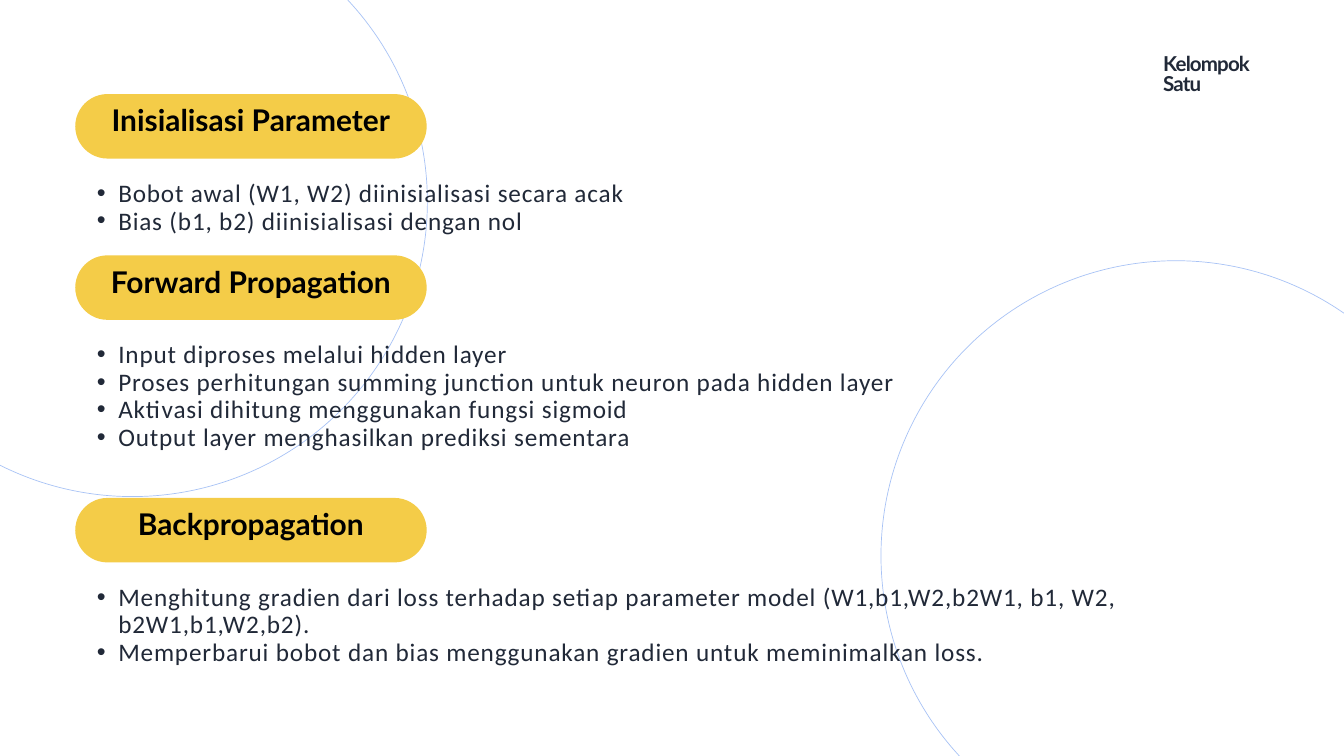
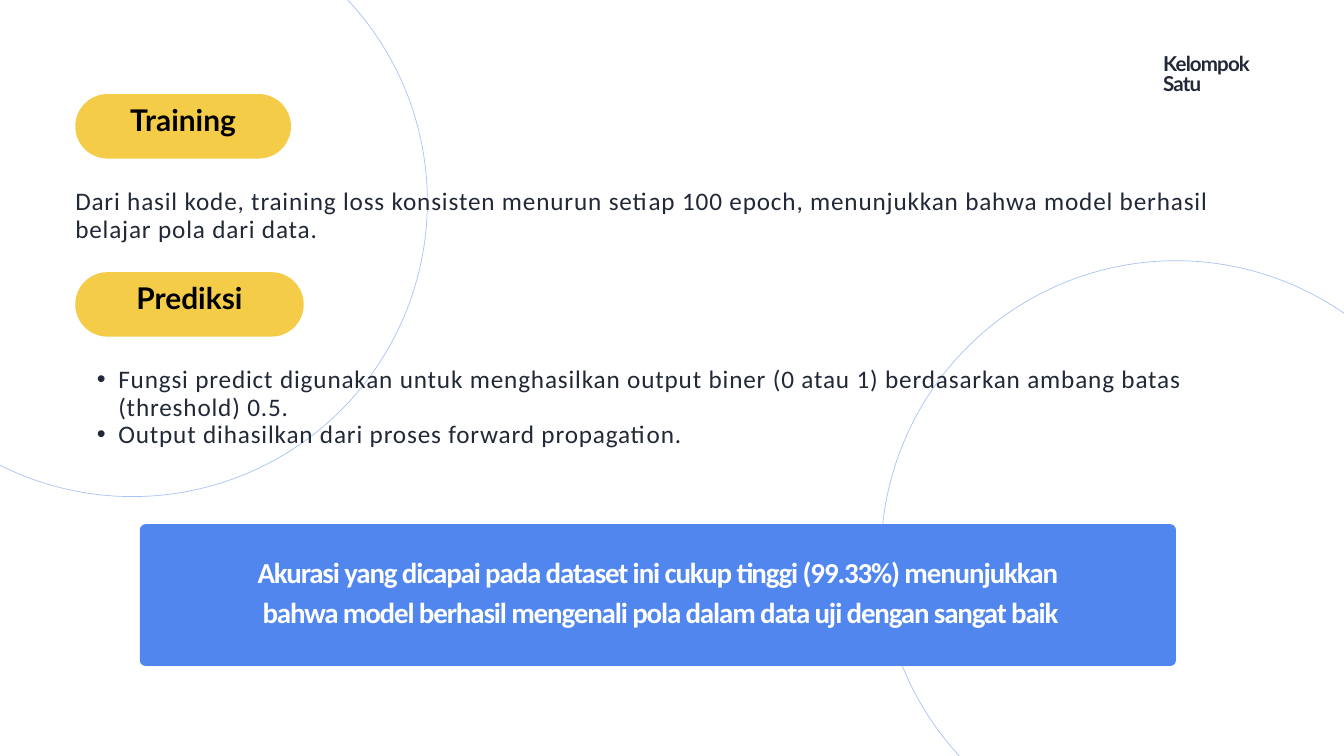
from dataclasses import dataclass

from lxml.etree import SubElement
from pptx import Presentation
from pptx.dml.color import RGBColor
from pptx.enum.shapes import MSO_SHAPE as Kind
from pptx.enum.text import MSO_ANCHOR as Anchor, MSO_AUTO_SIZE as Fit, PP_ALIGN as Align
from pptx.oxml.ns import qn
from pptx.util import Inches, Pt

BLUE = RGBColor(0x50, 0x86, 0xED)
GOLD = RGBColor(0xF4, 0xCC, 0x48)
INK = RGBColor(0x21, 0x29, 0x38)
BLACK = RGBColor(0, 0, 0)
WHITE = RGBColor(255, 255, 255)

LEFT = Inches(1.12)
RINGS = ((-2.42, -1.39), (13.11, 3.88))


@dataclass(frozen=True)
class Style:
    """The look of a text."""
    face: str
    size: float
    color: RGBColor
    lead: float
    bold: bool = False
    track: float = 0
    align: Align = Align.LEFT


@dataclass(frozen=True)
class Topic:
    """A gold pill with the text below it."""
    title: str
    top: float
    width: float
    lines: tuple[str, ...]
    span: float
    tall: float
    dots: bool = True


HEAD = Style("Lato", 32, BLACK, 44.8, True, align=Align.CENTER)
BODY = Style("Calibri", 27, INK, 29.5, track=0.9)
CLAIM = Style("Calibri", 31, WHITE, 43.4, True, -1.2, Align.CENTER)
BRAND = Style("Lato", 22, INK, 22.2, True, -0.9)

STEPS = (
    Topic("Inisialisasi Parameter", 1.4, 5.23, (
        "Bobot awal (W1, W2) diinisialisasi secara acak",
        "Bias (b1, b2) diinisialisasi dengan nol"), 15.63, 0.82),
    Topic("Forward Propagation", 3.8, 5.23, (
        "Input diproses melalui hidden layer",
        "Proses perhitungan summing junction untuk neuron pada hidden layer",
        "Aktivasi dihitung menggunakan fungsi sigmoid",
        "Output layer menghasilkan prediksi sementara"), 15.63, 2.04),
    Topic("Backpropagation", 7.41, 5.23, (
        "Menghitung gradien dari loss terhadap setiap parameter model "
        "(W1,b1,W2,b2W1, b1, W2, b2W1,b1,W2,b2).",
        "Memperbarui bobot dan bias menggunakan gradien untuk meminimalkan loss."),
        16.81, 1.64),
)
TESTS = (
    Topic("Training", 1.4, 3.21, (
        "Dari hasil kode, training loss konsisten menurun setiap 100 epoch, "
        "menunjukkan bahwa model berhasil belajar pola dari data.",), 17.29, 0.82, False),
    Topic("Prediksi", 4.05, 3.4, (
        "Fungsi predict digunakan untuk menghasilkan output biner (0 atau 1) "
        "berdasarkan ambang batas (threshold) 0.5.",
        "Output dihasilkan dari proses forward propagation."), 17.29, 1.64),
)
RESULT = (
    "Akurasi yang dicapai pada dataset ini cukup tinggi (99.33%) menunjukkan",
    " bahwa model berhasil mengenali pola dalam data uji dengan sangat baik",
)


def assign(item, values: dict) -> None:
    """Set each named value on the item."""
    for name, value in values.items():
        setattr(item, name, value)


def add_dot(para) -> None:
    """Give a paragraph a hanging bullet."""
    para.level = 1
    props = para._p.get_or_add_pPr()
    props.set("marL", str(Inches(0.64)))
    props.set("indent", str(Inches(-0.32)))
    SubElement(props, qn("a:buFont"), typeface="Arial")
    SubElement(props, qn("a:buChar"), char="•")


def write(frame, lines: tuple[str, ...], style: Style, dots: bool = False,
          foot: float = 0, **extra) -> None:
    """Fill a frame with one paragraph for each line."""
    assign(frame, {"word_wrap": True, "margin_left": 0, "margin_right": 0,
                   "margin_top": 0, "margin_bottom": Inches(foot), **extra})
    for index, line in enumerate(lines):
        para = frame.add_paragraph() if index else frame.paragraphs[0]
        assign(para, {"alignment": style.align, "line_spacing": Pt(style.lead)})
        if dots:
            add_dot(para)
        run = para.add_run()
        run.text = line
        assign(run.font, {"name": style.face, "size": Pt(style.size), "bold": style.bold})
        run.font.color.rgb = style.color
        if style.track:
            run._r.get_or_add_rPr().set("spc", str(round(style.track * 100)))


def add_text(slide, box: tuple, lines: tuple[str, ...], style: Style,
             dots: bool = False) -> None:
    """Add a text box that grows with its text."""
    frame = slide.shapes.add_textbox(*box).text_frame
    write(frame, lines, style, dots, auto_size=Fit.SHAPE_TO_FIT_TEXT)


def add_plate(slide, box: tuple, color: RGBColor, curve: float,
              lines: tuple[str, ...], style: Style, foot: float) -> None:
    """Add a filled round plate with centred text."""
    plate = slide.shapes.add_shape(Kind.ROUNDED_RECTANGLE, *box)
    plate.adjustments[0] = curve
    plate.shadow.inherit = False
    plate.fill.solid()
    plate.fill.fore_color.rgb = color
    plate.line.fill.background()
    write(plate.text_frame, lines, style, foot=foot, vertical_anchor=Anchor.MIDDLE)


def add_ring(slide, left: float, top: float) -> None:
    """Add a large faint ring."""
    side = Inches(8.78)
    ring = slide.shapes.add_shape(Kind.OVAL, Inches(left), Inches(top), side, side)
    ring.shadow.inherit = False
    ring.fill.background()
    ring.line.width = Pt(0.75)
    ring.line.color.rgb = BLUE
    tint = ring.line._ln.find(".//" + qn("a:srgbClr"))
    SubElement(tint, qn("a:alpha"), val="50000")


def add_topic(slide, topic: Topic, drop: float) -> None:
    """Add a pill and, a drop below its top, its text."""
    pill = (LEFT, Inches(topic.top), Inches(topic.width), Inches(0.96))
    add_plate(slide, pill, GOLD, 0.5, (topic.title,), HEAD, 0.28)
    box = (LEFT, Inches(topic.top + drop), Inches(topic.span), Inches(topic.tall))
    add_text(slide, box, topic.lines, BODY, topic.dots)


def add_page(deck, topics: tuple[Topic, ...], drop: float):
    """Add a slide with rings, topics and group name."""
    slide = deck.slides.add_slide(deck.slide_layouts[6])
    for left, top in RINGS:
        add_ring(slide, left, top)
    for topic in topics:
        add_topic(slide, topic, drop)
    box = (Inches(17.31), Inches(0.81), Inches(1.78), Inches(0.63))
    add_text(slide, box, ("Kelompok", "Satu"), BRAND)
    return slide


def main() -> None:
    """Build and save the deck."""
    deck = Presentation()
    assign(deck, {"slide_width": Inches(20), "slide_height": Inches(11.25)})
    add_page(deck, STEPS, 1.28)
    slide = add_page(deck, TESTS, 1.4)
    box = (Inches(2.08), Inches(7.8), Inches(15.42), Inches(2.11))
    add_plate(slide, box, BLUE, 0.04, RESULT, CLAIM, 0.18)
    deck.save("out.pptx")


if __name__ == "__main__":
    main()
